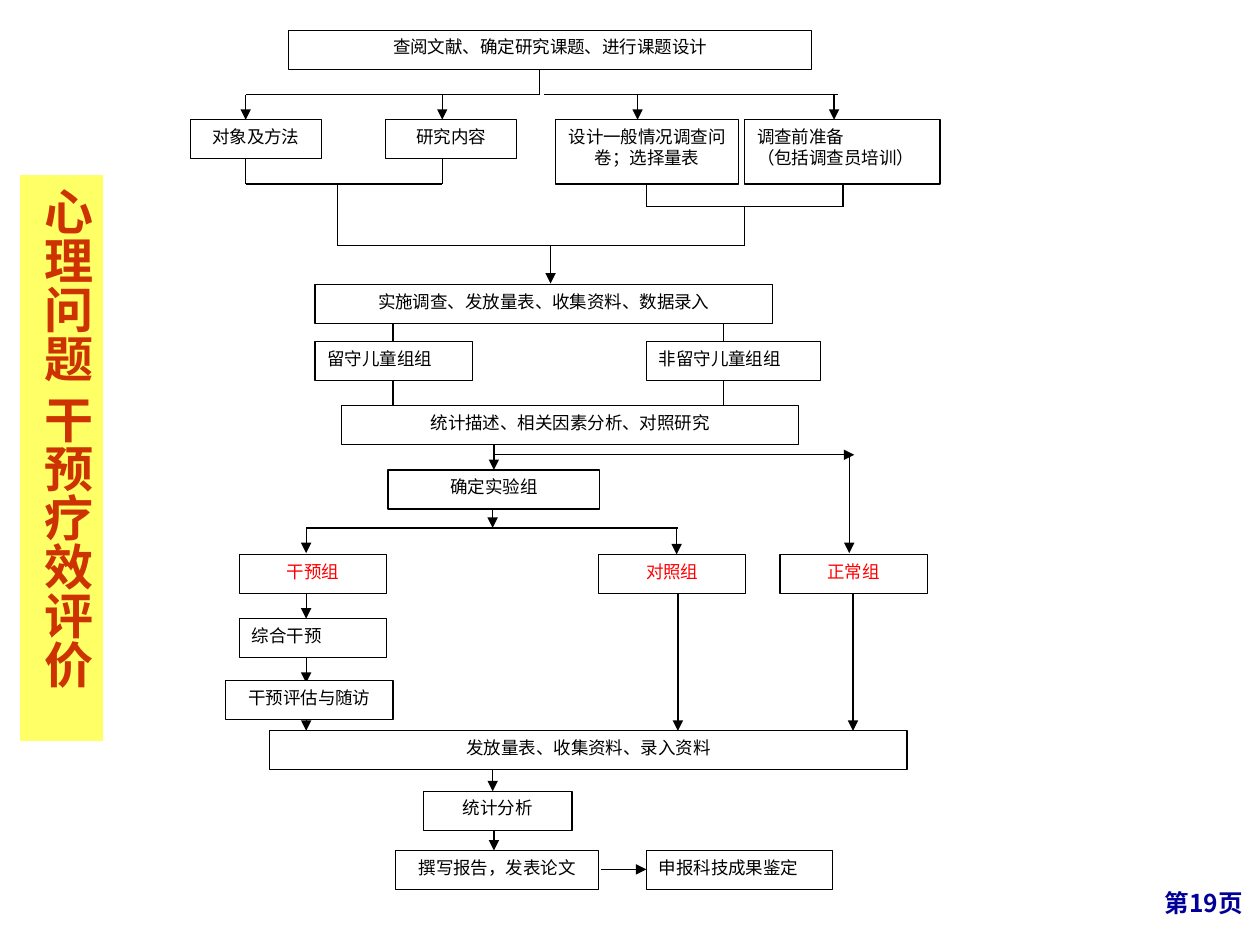
from pptx import Presentation
from pptx.dml.color import RGBColor
from pptx.enum.shapes import MSO_CONNECTOR as CONN, MSO_SHAPE as SHAPE
from pptx.enum.text import MSO_ANCHOR as ANCHOR, PP_ALIGN as ALIGN
from pptx.oxml.ns import qn
from pptx.util import Inches, Pt
from lxml.etree import SubElement

BLACK = RGBColor(0, 0, 0)
WHITE = RGBColor(255, 255, 255)
RED = RGBColor(255, 0, 0)
YELLOW = RGBColor(0xFF, 0xFF, 0x66)
RUST = RGBColor(0xCC, 0x33, 0x00)
NAVY = RGBColor(0, 0, 0x99)
CJK = "Noto Sans CJK SC"
BOX_H = 0.31


class FlowSlide:
    def __init__(self, prs):
        self.slide = prs.slides.add_slide(prs.slide_layouts[5])
        self.line_width = Pt(0.75)

    def set_text(self, sp, text, align, size=10, color=BLACK, bold=False,
                 font=CJK, insets=(0.1, 0.05)):
        tf = sp.text_frame
        x, y = map(Inches, insets)
        frame = {"word_wrap": True, "vertical_anchor": ANCHOR.TOP, "margin_left": x,
                 "margin_right": x, "margin_top": y, "margin_bottom": y}
        for name, value in frame.items():
            setattr(tf, name, value)
        tf.text = text
        for p in tf.paragraphs:
            p.alignment = align
            for r in p.runs:
                for name, value in {"size": Pt(size), "bold": bold, "name": font}.items():
                    setattr(r.font, name, value)
                r.font.color.rgb = color
                SubElement(r.font._element, qn("a:ea"), typeface=CJK)

    def box(self, x, y, w, text, h=BOX_H, align=ALIGN.CENTER, **style):
        sp = self.slide.shapes.add_shape(SHAPE.RECTANGLE, *map(Inches, (x, y, w, h)))
        sp.shadow.inherit = False
        sp.fill.solid()
        sp.fill.fore_color.rgb = WHITE
        sp.line.color.rgb = BLACK
        sp.line.width = self.line_width
        self.set_text(sp, text, align, **style)

    def line(self, x1, y1, x2, y2, arrow=False):
        cn = self.slide.shapes.add_connector(CONN.STRAIGHT, *map(Inches, (x1, y1, x2, y2)))
        cn.line.color.rgb = BLACK
        cn.line.width = self.line_width
        if arrow:
            SubElement(cn._element.spPr.find(qn("a:ln")), qn("a:tailEnd"), type="triangle")
        SubElement(cn._element.spPr, qn("a:effectLst"))

    def vertical_title(self, x, y, w, h, text):
        sp = self.slide.shapes.title
        for name, value in zip(("left", "top", "width", "height"), (x, y, w, h)):
            setattr(sp, name, Inches(value))
        sp.fill.solid()
        sp.fill.fore_color.rgb = YELLOW
        self.set_text(sp, text, ALIGN.LEFT, 28, RUST, True, "Arial", (0.05, 0.1))
        sp.text_frame.paragraphs[0].space_before = Pt(17.5)
        sp.text_frame._txBody.bodyPr.set("vert", "eaVert")

    def page_label(self, x, y, w, h, text):
        sp = self.slide.shapes.add_textbox(*map(Inches, (x, y, w, h)))
        self.set_text(sp, text, ALIGN.RIGHT, 14, NAVY, True)


def main():
    prs = Presentation()
    prs.slide_width, prs.slide_height = Inches(10), Inches(7.5)
    s = FlowSlide(prs)
    s.vertical_title(0.16, 1.39, 0.66, 4.49, "心理问题 干预疗效评价")
    s.page_label(7.88, 7, 2.08, 0.5, "第19页")

    # Plain lines: branches and merges
    for ends in [
        (4.28, 0.54, 4.28, 0.75), (1.95, 0.75, 4.28, 0.75), (4.32, 0.75, 6.65, 0.75),
        (1.95, 1.46, 3.51, 1.46), (5.13, 1.64, 6.69, 1.64),
        (2.68, 1.46, 2.68, 1.95), (5.91, 1.64, 5.91, 1.95), (2.68, 1.95, 5.91, 1.95),
        (2.43, 4.19, 5.38, 4.19),
    ]:
        s.line(*ends)
    for x in (1.95, 3.51):
        s.line(x, 1.26, x, 1.46)
    for x in (5.13, 6.69):
        s.line(x, 1.46, x, 1.64)
    for x in (3.12, 5.74):
        s.line(x, 2.56, x, 2.71)
        s.line(x, 3.02, x, 3.22)

    # Downward arrows: x, top, bottom
    for x in (1.95, 3.51, 5.06, 6.62):
        s.line(x, 0.75, x, 0.95, arrow=True)
    for x, top, bottom in [
        (4.37, 1.95, 2.25), (3.92, 3.53, 3.73), (3.91, 4.04, 4.19),
        (2.43, 4.19, 4.39), (5.37, 4.19, 4.4), (6.74, 3.61, 4.39),
        (2.43, 4.71, 4.91), (5.38, 4.71, 5.8), (6.77, 4.71, 5.8),
        (2.43, 5.22, 5.42), (2.43, 5.7, 5.8), (3.91, 6.11, 6.28), (3.92, 6.59, 6.75),
    ]:
        s.line(x, top, x, bottom, arrow=True)

    # Rightward arrows
    s.line(3.92, 3.61, 6.78, 3.61, arrow=True)
    s.line(4.77, 6.9, 5.13, 6.9, arrow=True)

    # Centred steps: x, y, width, text
    for step in [
        (2.29, 0.24, 4.15, "查阅文献、确定研究课题、进行课题设计"),
        (1.51, 0.95, 1.04, "对象及方法"),
        (3.06, 0.95, 1.04, "研究内容"),
        (2.5, 2.26, 3.63, "实施调查、发放量表、收集资料、数据录入"),
        (2.71, 3.22, 3.63, "统计描述、相关因素分析、对照研究"),
        (3.08, 3.73, 1.68, "确定实验组"),
        (1.79, 5.4, 1.33, "干预评估与随访"),
        (2.14, 5.8, 5.06, "发放量表、收集资料、录入资料"),
        (3.36, 6.28, 1.18, "统计分析"),
        (3.14, 6.75, 1.61, "撰写报告，发表论文"),
    ]:
        s.box(*step)

    # Two-line preparation steps
    s.box(4.41, 0.95, 1.45, "设计一般情况调查问卷；选择量表", h=0.51)
    s.box(5.91, 0.95, 1.55, "调查前准备\n（包括调查员培训）", h=0.51, align=ALIGN.JUSTIFY)

    # Justified steps
    for step in [
        (2.5, 2.71, 1.25, "留守儿童组组"),
        (5.13, 2.71, 1.38, "非留守儿童组组"),
        (1.9, 4.91, 1.17, "综合干预"),
    ]:
        s.box(*step, align=ALIGN.JUSTIFY)
    s.box(5.13, 6.75, 1.48, "申报科技成果鉴定", align=ALIGN.JUSTIFY,
          font="Times New Roman")

    # Study groups
    for x, name in [(1.9, "干预组"), (4.75, "对照组"), (6.19, "正常组")]:
        s.box(x, 4.4, 1.17, name, color=RED)

    prs.save("out.pptx")


if __name__ == "__main__":
    main()
